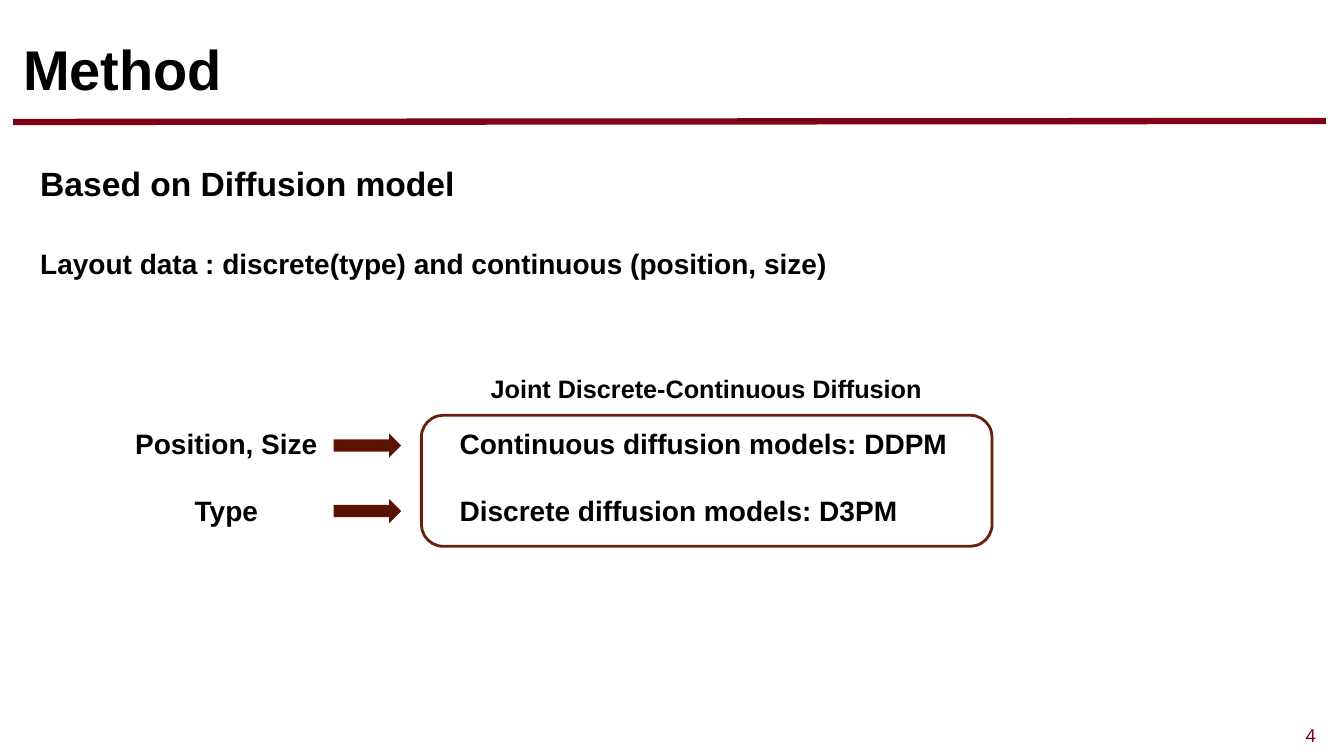
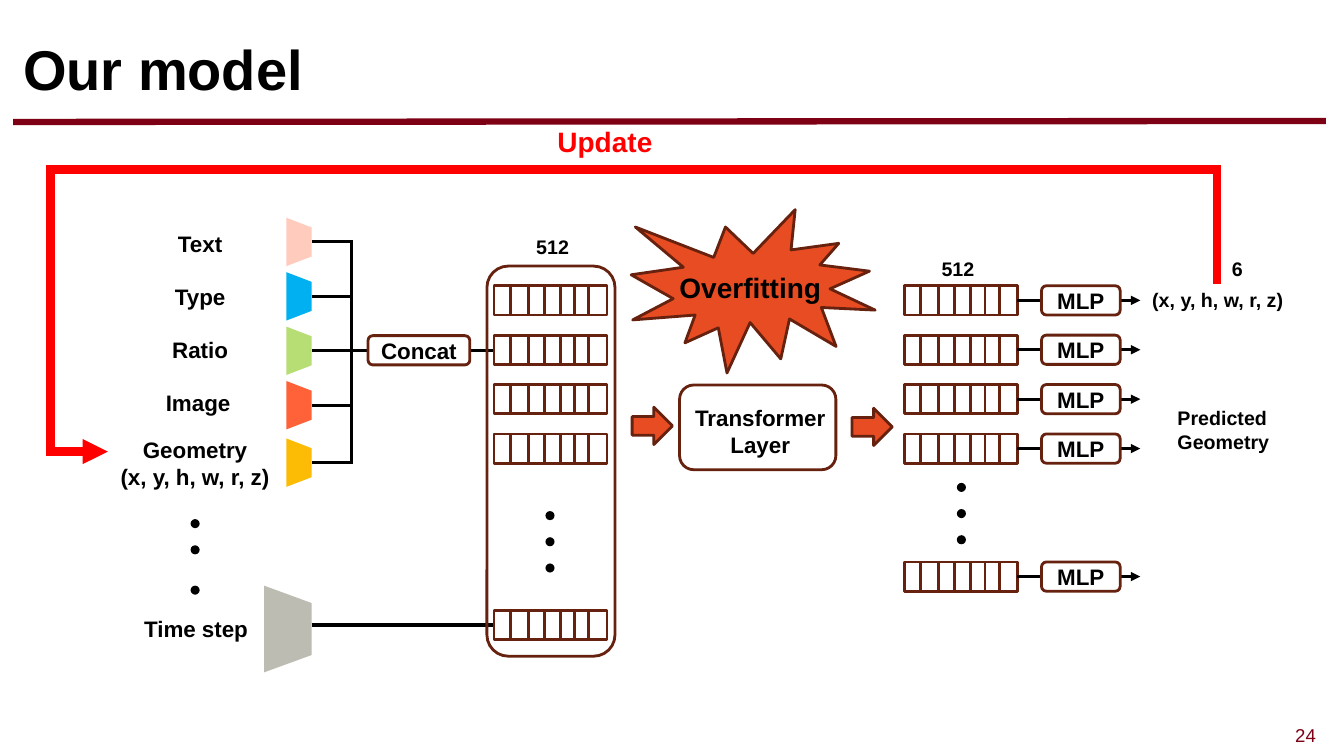
from lxml import etree
from pptx import Presentation
from pptx.dml.color import RGBColor
from pptx.enum.shapes import MSO_CONNECTOR, MSO_SHAPE
from pptx.enum.text import MSO_ANCHOR, PP_ALIGN
from pptx.oxml.ns import qn
from pptx.util import Inches, Pt

STRAIGHT = MSO_CONNECTOR.STRAIGHT
RECTANGLE, ROUNDED = MSO_SHAPE.RECTANGLE, MSO_SHAPE.ROUNDED_RECTANGLE
RIGHT_ARROW, ELLIPSE = MSO_SHAPE.RIGHT_ARROW, MSO_SHAPE.OVAL
TRAPEZOID, BURST = MSO_SHAPE.FLOWCHART_MANUAL_OPERATION, MSO_SHAPE.EXPLOSION1
TOP, MIDDLE = MSO_ANCHOR.TOP, MSO_ANCHOR.MIDDLE
LEFT, CENTER, RIGHT = PP_ALIGN.LEFT, PP_ALIGN.CENTER, PP_ALIGN.RIGHT

FONT = "Arial"
BLACK, WHITE, RED = "000000", "FFFFFF", "FF0000"
MAROON, OUTLINE, DARK_ARROW, ORANGE = "7E0015", "66210F", "591300", "E84C22"

# Slide grid, in inches
WIDTH, HEIGHT = 13.33, 7.5
MARGIN = 0.13
CONTENT_WIDTH = 13.02
INDENT = 0.17

# Model diagram grid, in inches
ROW_TOP, ROW_PITCH, ROW_HEIGHT = 2.98, 0.49, 0.29
LABEL_WIDTH = 1.83
ENCODER_EDGE, BUS_COLUMN = 3.09, 3.49
CONCAT_COLUMN, CONCAT_WIDTH = 3.65, 1.01
INPUT_COLUMN, OUTPUT_COLUMN = 4.9, 8.97
MLP_COLUMN, MLP_WIDTH, ARROW_END = 10.33, 0.78, 11.31
UPDATE_LEFT, UPDATE_RIGHT, UPDATE_TOP = 0.5, 12.07, 1.68
UPDATE_OVERLAP = 0.04
DOT_SIZE, DOT_PITCH = 0.09, 0.26

# Offset and width of the overlapping parts that divide a token into cells
TOKEN_WIDTH = 1.12
TOKEN_PARTS = ((0, 0.78), (0.16, 0.78), (0.34, 0.78), (0.5, 0.44), (0.66, 0.14))

# Label, colour, centre of the encoder, left and centre of the label
ENCODERS = (
    ("Text", "FFCBBD", 2.4, 1.07, 2.42),
    ("Type", "00B0F0", 2.94, 1.07, 2.94),
    ("Ratio", "B6DE74", 3.48, 1.07, 3.47),
    ("Image", "FF6238", 4.02, 1.05, 3.99),
    ("Geometry\n(x, y, h, w, r, z)", "FCBB04", 4.59, 1.02, 4.59),
)


def color(hex_string):
    return RGBColor.from_string(hex_string)


def write_text(text_frame, text, size, hex_color=BLACK, bold=True, align=LEFT,
               anchor=TOP, insets=(0.1, 0.05), indent=0, gap=0, spacing=1):
    """Fill a frame with one paragraph per line; gap is the space between them."""
    text_frame.word_wrap = True
    text_frame.vertical_anchor = anchor
    text_frame.margin_left = text_frame.margin_right = Inches(insets[0])
    text_frame.margin_top = text_frame.margin_bottom = Inches(insets[1])
    text_frame.text = text
    for index, paragraph in enumerate(text_frame.paragraphs):
        paragraph.alignment = align
        paragraph.line_spacing = spacing
        if indent:
            paragraph._p.get_or_add_pPr().set("marL", str(Inches(indent)))
        if index:
            paragraph.space_before = Pt(gap)
        for run in paragraph.runs:
            run.font.name = FONT
            run.font.size = Pt(size)
            run.font.bold = bold
            run.font.color.rgb = color(hex_color)


def add_text(slide, box, text, size, **style):
    shape = slide.shapes.add_textbox(*map(Inches, box))
    write_text(shape.text_frame, text, size, **style)
    return shape


def add_label(slide, left, center, width, text, size, **style):
    """Add text centred vertically on a given height."""
    height = 0.37 * len(text.splitlines())
    add_text(slide, (left, center - height / 2, width, height), text, size,
             anchor=MIDDLE, **style)


def add_shape(slide, kind, box, fill=None, line=None):
    shape = slide.shapes.add_shape(kind, *map(Inches, box))
    shape.shadow.inherit = False
    if fill:
        shape.fill.solid()
        shape.fill.fore_color.rgb = color(fill)
    else:
        shape.fill.background()
    if line:
        shape.line.color.rgb = color(line)
        shape.line.width = Pt(2)
    else:
        shape.line.fill.background()
    return shape


def add_line(slide, start, end, hex_color=BLACK, width=2.25, arrow=False):
    line = slide.shapes.add_connector(STRAIGHT, *map(Inches, start + end))
    line.line.color.rgb = color(hex_color)
    line.line.width = Pt(width)
    properties = line._element.spPr
    if arrow:
        outline = properties.find(qn("a:ln"))
        etree.SubElement(outline, qn("a:tailEnd"), type="triangle")
    etree.SubElement(properties, qn("a:effectLst"))


def add_node(slide, box, text):
    """Add a rounded, outlined box with centred text."""
    node = add_shape(slide, ROUNDED, box, WHITE, OUTLINE)
    write_text(node.text_frame, text, 16, align=CENTER, anchor=MIDDLE,
               insets=(0, 0))
    return node


def add_encoder(slide, center, depth, breadth, fill):
    """Add a trapezoid whose wide side faces left."""
    left = ENCODER_EDGE - (depth + breadth) / 2
    shape = add_shape(slide, TRAPEZOID,
                      (left, center - depth / 2, breadth, depth), fill)
    shape.rotation = 270


def add_token(slide, left, center):
    """Add a row of cells that stands for one embedding."""
    for offset, width in TOKEN_PARTS:
        add_shape(slide, RECTANGLE,
                  (left + offset, center - ROW_HEIGHT / 2, width, ROW_HEIGHT),
                  WHITE, OUTLINE)


def add_dots(slide, left, tops):
    for top in tops:
        add_shape(slide, ELLIPSE, (left, top, DOT_SIZE, DOT_SIZE), BLACK)


def dot_tops(first):
    return [first + index * DOT_PITCH for index in range(3)]


def token_rows(last):
    """Centres of four evenly spaced tokens and of the last one."""
    return [ROW_TOP + index * ROW_PITCH for index in range(4)] + [last]


def add_base_slide(presentation, title, number):
    slide = presentation.slides.add_slide(presentation.slide_layouts[6])
    right = MARGIN + CONTENT_WIDTH
    add_line(slide, (MARGIN, 1.21), (right, 1.2), MAROON, 4.5)
    add_text(slide, (MARGIN, 0.15, CONTENT_WIDTH, 1.06), title, 40,
             anchor=MIDDLE, insets=(0.1, 0.1))
    add_text(slide, (right - 0.8, 7.01, 0.8, 0.57), str(number), 13.3,
             hex_color=MAROON, bold=False, align=RIGHT, anchor=MIDDLE,
             insets=(0.1, 0.1))
    return slide


def build_method(presentation):
    slide = add_base_slide(presentation, "Method", 4)
    body = add_text(
        slide, (MARGIN, 1.46, CONTENT_WIDTH, 1.61),
        "Based on Diffusion model\n"
        "Layout data : discrete(type) and continuous (position, size)",
        20, insets=(0.1, 0.1), indent=INDENT, gap=27, spacing=1.15)
    body.text_frame.paragraphs[0].runs[0].font.size = Pt(24)

    add_text(slide, (4.64, 3.65, 4.73, 0.4),
             "Joint Discrete-Continuous Diffusion", 18, align=CENTER)
    add_shape(slide, ROUNDED, (4.18, 4.12, 5.66, 1.3), line=OUTLINE)
    pairs = (
        (1.07, 2.18, "Position, Size\nType", CENTER),
        (4.29, 5.66, "Continuous diffusion models: DDPM\n"
                     "Discrete diffusion models: D3PM", LEFT),
    )
    for left, width, text, align in pairs:
        add_text(slide, (left, 4.18, width, 1.11), text, 20, align=align,
                 indent=INDENT, gap=24)
    for top in (4.3, 4.95):
        add_shape(slide, RIGHT_ARROW, (3.31, top, 0.67, 0.24), DARK_ARROW)


def build_inputs(slide):
    centers = [encoder[2] for encoder in ENCODERS]
    middle = centers[2]
    for text, fill, center, label_left, label_center in ENCODERS:
        add_label(slide, label_left, label_center, LABEL_WIDTH, text, 16,
                  align=CENTER)
        add_encoder(slide, center, 0.25, 0.48, fill)
        add_line(slide, (ENCODER_EDGE, center), (BUS_COLUMN + 0.01, center))
    add_line(slide, (BUS_COLUMN, centers[0]), (BUS_COLUMN, centers[-1]))
    add_line(slide, (BUS_COLUMN, middle), (CONCAT_COLUMN, middle))
    add_line(slide, (CONCAT_COLUMN + CONCAT_WIDTH, middle), (5.27, middle))
    add_node(slide, (CONCAT_COLUMN, middle - 0.15, CONCAT_WIDTH, ROW_HEIGHT),
             "Concat")

    time_step = 6.2
    add_dots(slide, 1.89, (5.15, 5.41, 5.81))
    add_label(slide, 1.03, time_step + 0.04, LABEL_WIDTH, "Time step", 16,
              align=CENTER)
    add_encoder(slide, time_step + 0.04, 0.47, 0.86, "BCBCB2")
    add_line(slide, (ENCODER_EDGE, time_step), (5.29, time_step))

    for center in token_rows(time_step):
        add_token(slide, INPUT_COLUMN, center)
    add_dots(slide, 5.41, dot_tops(5.07))
    add_shape(slide, ROUNDED, (4.83, 2.64, 1.27, 3.87), line=OUTLINE)


def build_transformer(slide):
    for left, top in ((6.27, 4.04), (8.45, 4.05)):
        add_shape(slide, RIGHT_ARROW, (left, top, 0.4, 0.37), ORANGE, OUTLINE)
    node = add_node(slide, (6.74, 3.82, 1.55, 0.84), "Transformer Layer")
    node.text_frame.margin_left = Inches(0.05)
    node.text_frame.margin_top = Inches(0.07)
    add_shape(slide, BURST, (6.26, 2.08, 2.42, 1.62), ORANGE, OUTLINE)
    add_text(slide, (6.64, 2.63, 1.73, 0.44), "Overfitting", 20)


def build_outputs(slide):
    token_end = OUTPUT_COLUMN + TOKEN_WIDTH
    for center in token_rows(5.72):
        add_token(slide, OUTPUT_COLUMN, center)
        add_line(slide, (token_end, center), (ARROW_END, center), arrow=True)
        add_node(slide, (MLP_COLUMN, center - ROW_HEIGHT / 2, MLP_WIDTH,
                         ROW_HEIGHT), "MLP")
    add_dots(slide, 9.49, dot_tops(4.79))
    add_text(slide, (11.58, 3.98, 1.25, 0.57), "Predicted Geometry", 14)


def build_update_loop(slide):
    top, end = UPDATE_TOP - UPDATE_OVERLAP, 4.48
    segments = (
        ((UPDATE_RIGHT, top), (UPDATE_RIGHT, 2.82), False),
        ((UPDATE_RIGHT, UPDATE_TOP), (0.48, UPDATE_TOP), False),
        ((UPDATE_LEFT, top), (UPDATE_LEFT, end), False),
        ((UPDATE_LEFT - UPDATE_OVERLAP, end), (1.07, end), True),
    )
    for start, finish, arrow in segments:
        add_line(slide, start, finish, RED, 6, arrow)
    add_text(slide, (5.22, 1.19, 1.56, 0.44), "Update", 20, hex_color=RED,
             align=CENTER)


def build_model(presentation):
    slide = add_base_slide(presentation, "Our model", 24)
    build_inputs(slide)
    build_transformer(slide)
    build_outputs(slide)
    build_update_loop(slide)
    sizes = (
        (5.22, 2.45, 0.69, "512"),
        (9.24, 2.67, 0.69, "512"),
        (12.12, 2.67, 0.32, "6"),
        (11.33, 2.97, 1.57, "(x, y, h, w, r, z)"),
    )
    for left, center, width, text in sizes:
        add_label(slide, left, center, width, text, 14)


def main():
    presentation = Presentation()
    presentation.slide_width = Inches(WIDTH)
    presentation.slide_height = Inches(HEIGHT)
    build_method(presentation)
    build_model(presentation)
    presentation.save("out.pptx")


if __name__ == "__main__":
    main()
